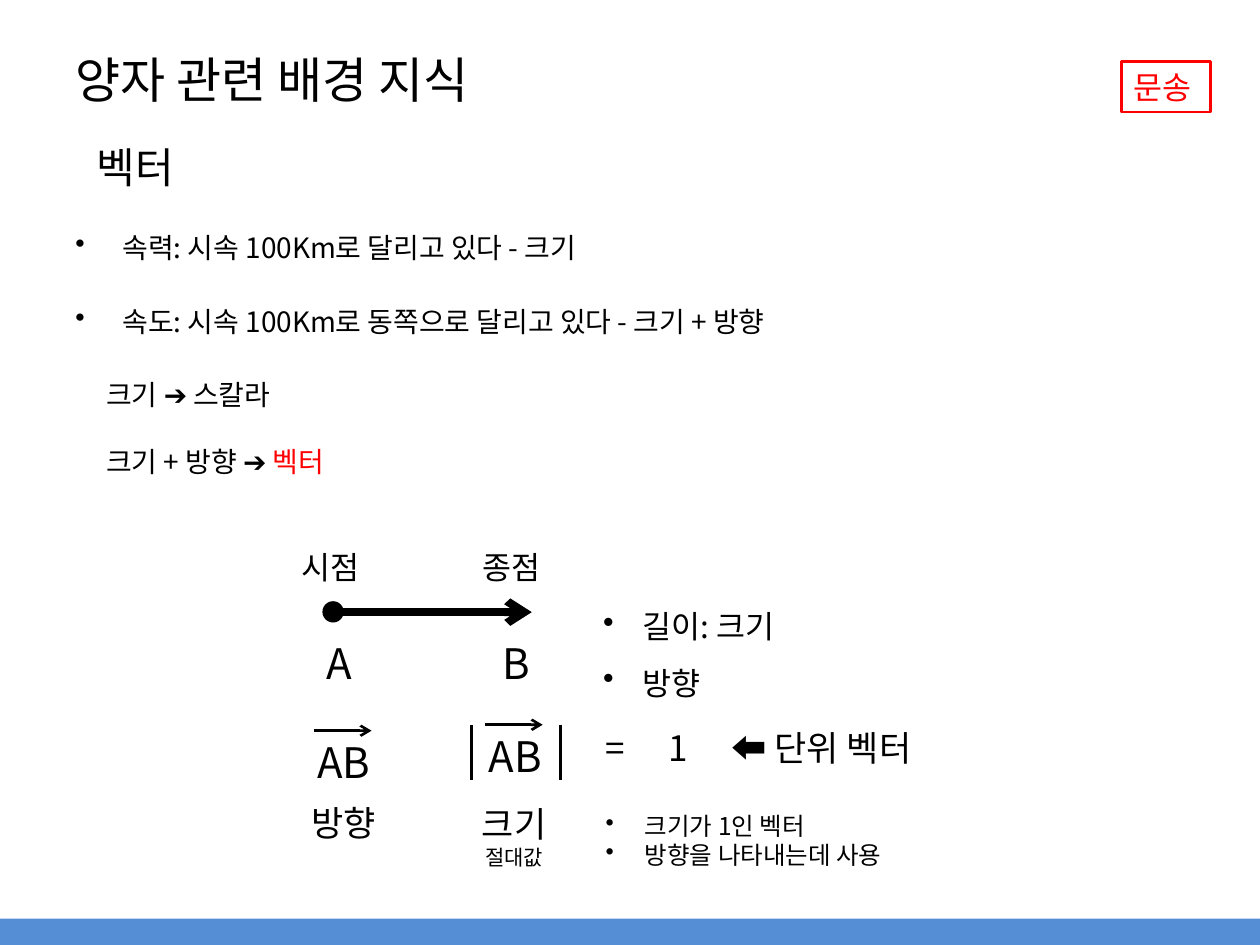
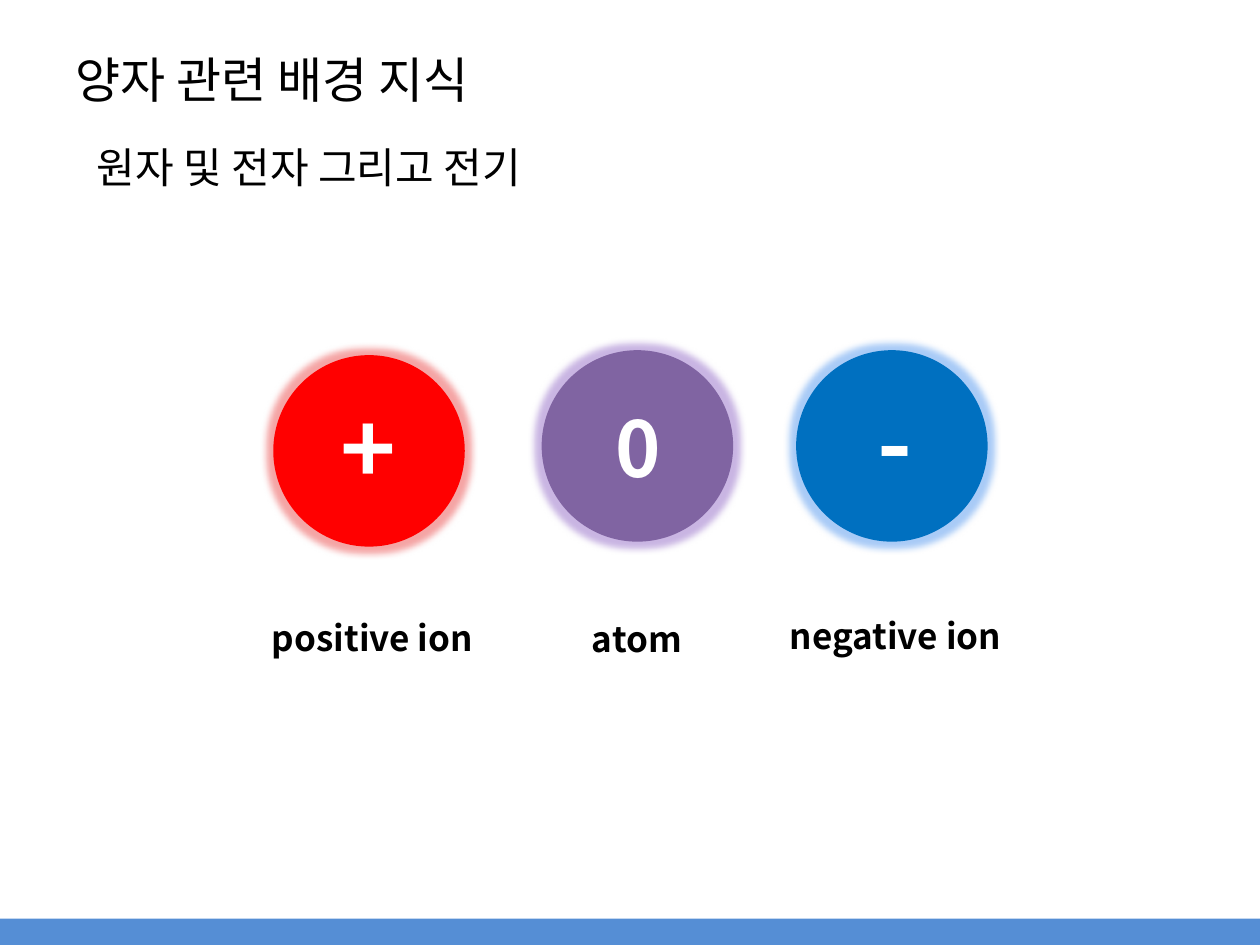
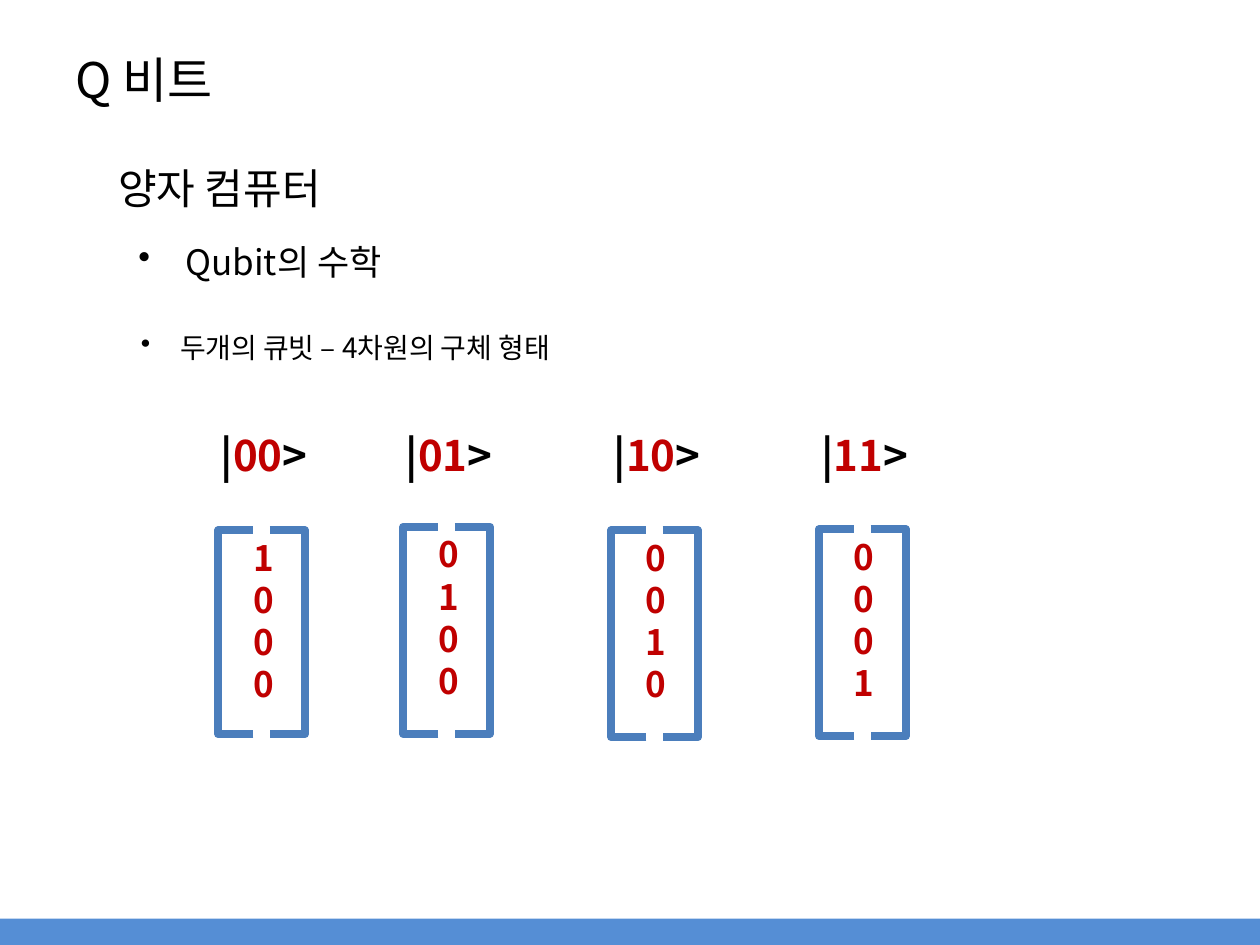
from dataclasses import dataclass

from lxml import etree
from pptx import Presentation
from pptx.dml.color import RGBColor
from pptx.enum.shapes import MSO_CONNECTOR, MSO_SHAPE
from pptx.enum.text import MSO_ANCHOR, PP_ALIGN
from pptx.oxml.ns import qn
from pptx.util import Cm, Pt

LEFT, CENTER = PP_ALIGN.LEFT, PP_ALIGN.CENTER
TOP, MIDDLE = MSO_ANCHOR.TOP, MSO_ANCHOR.MIDDLE
RECTANGLE, OVAL = MSO_SHAPE.RECTANGLE, MSO_SHAPE.OVAL
LEFT_BRACKET = MSO_SHAPE.LEFT_BRACKET
STRAIGHT = MSO_CONNECTOR.STRAIGHT


@dataclass(frozen=True)
class Theme:
    """Colours, font and type sizes shared by all slides."""
    font: str = "Noto Sans CJK KR"
    black: str = "000000"
    white: str = "FFFFFF"
    red: str = "FF0000"
    dark_red: str = "C00000"
    purple: str = "8064A2"
    blue: str = "0070C0"
    band: str = "558ED5"
    bracket: str = "4B7EBC"
    title: int = 28
    subtitle: int = 24
    large: int = 20
    medium: int = 18
    body: int = 16
    small: int = 14
    caption: int = 12
    thin: float = 1.5
    thick: float = 4.5


THEME = Theme()


@dataclass
class Line:
    """One paragraph: runs are plain strings or (text, colour) pairs."""
    runs: list
    size: int
    color: str = THEME.black
    bold: bool = False
    align: int = LEFT
    bullet: float = 0
    margin: float = 0
    tabs: tuple = ()
    before: float = 0
    spacing: float = 1.0


def add_run(paragraph, text, color, line):
    """Add one formatted run with Latin and East Asian fonts."""
    run = paragraph.add_run()
    run.text = text
    run.font.size = Pt(line.size)
    run.font.bold = line.bold
    run.font.color.rgb = RGBColor.from_string(color)
    run.font.name = THEME.font
    etree.SubElement(run._r.get_or_add_rPr(), qn("a:ea"), typeface=THEME.font)


def format_paragraph(paragraph, line):
    """Apply alignment, spacing, indents, bullet and tab stops."""
    paragraph.alignment = line.align
    paragraph.line_spacing = line.spacing
    paragraph.space_before = Pt(line.before)
    properties = paragraph._p.get_or_add_pPr()
    properties.set("marL", str(Cm(line.bullet or line.margin)))
    properties.set("indent", str(-Cm(line.bullet)))
    if line.bullet:
        etree.SubElement(properties, qn("a:buChar"), char="•")
    if line.tabs:
        tab_list = etree.SubElement(properties, qn("a:tabLst"))
        for stop in line.tabs:
            etree.SubElement(tab_list, qn("a:tab"), pos=str(Cm(stop)), algn="l")


def write_lines(shape, lines, anchor=TOP, wrap=True):
    """Fill the text frame of a shape with paragraphs."""
    frame = shape.text_frame
    frame.word_wrap = wrap
    frame.vertical_anchor = anchor
    for number, line in enumerate(lines):
        paragraph = frame.add_paragraph() if number else frame.paragraphs[0]
        format_paragraph(paragraph, line)
        for part in line.runs:
            text, color = (part, line.color) if isinstance(part, str) else part
            add_run(paragraph, text, color, line)


def add_text(slide, box, *lines, anchor=TOP, wrap=True):
    """Add a text box; box is left, top, width, height in centimetres."""
    shape = slide.shapes.add_textbox(*map(Cm, box))
    write_lines(shape, lines, anchor, wrap)


def add_figure(slide, kind, box, fill=None, outline=None, width=THEME.thin):
    """Add a preset shape with an optional fill and outline."""
    shape = slide.shapes.add_shape(kind, *map(Cm, box))
    shape.shadow.inherit = False
    if fill:
        shape.fill.solid()
        shape.fill.fore_color.rgb = RGBColor.from_string(fill)
    else:
        shape.fill.background()
    if outline:
        shape.line.color.rgb = RGBColor.from_string(outline)
        shape.line.width = Pt(width)
    else:
        shape.line.fill.background()
    return shape


def add_line(slide, start, end, width=THEME.thin, arrow=False):
    """Add a straight black line, with an arrowhead at its end if asked."""
    connector = slide.shapes.add_connector(STRAIGHT, *map(Cm, start + end))
    connector.line.color.rgb = RGBColor.from_string(THEME.black)
    connector.line.width = Pt(width)
    if arrow:
        outline = connector.line._get_or_add_ln()
        etree.SubElement(outline, qn("a:tailEnd"), type="arrow")
    etree.SubElement(connector._element.spPr, qn("a:effectLst"))


def add_glow(shape, color):
    """Surround a shape with a translucent glow."""
    effects = shape._element.spPr.find(qn("a:effectLst"))
    glow = etree.SubElement(effects, qn("a:glow"), rad=str(Pt(8)))
    tint = etree.SubElement(glow, qn("a:srgbClr"), val=color)
    etree.SubElement(tint, qn("a:alpha"), val="40000")


def start_slide(presentation, title, subtitle, left=1.7, top=2.72):
    """Add a blank slide with its title, subtitle and bottom band."""
    slide = presentation.slides.add_slide(presentation.slide_layouts[6])
    add_text(slide, (1.27, 0, 22.86, 3.18), Line([title], THEME.title), anchor=MIDDLE)
    add_figure(slide, RECTANGLE, (0, 18.52, 25.4, 0.53), THEME.band)
    add_text(slide, (left, top, 10.4, 1.27), Line([subtitle], THEME.subtitle))
    return slide


def add_arrow_label(slide, left, top):
    """Write AB beneath a short vector arrow."""
    add_text(slide, (left, top, 2.39, 1.27), Line(["AB"], THEME.subtitle, align=CENTER))
    add_line(slide, (left + 0.58, top), (left + 1.75, top), arrow=True)


def add_vector_diagram(slide):
    """Draw the vector from A to B with its direction and magnitude."""
    add_line(slide, (6.71, 12.34), (10.72, 12.34), THEME.thick, arrow=True)
    add_figure(slide, OVAL, (6.5, 12.12, 0.43, 0.43), THEME.black)
    for left, text in ((5.82, "시점"), (9.47, "종점")):
        add_text(slide, (left, 10.92, 1.8, 1.02), Line([text], THEME.medium), wrap=False)
    for left, text in ((6.32, "A"), (9.88, "B")):
        add_text(slide, (left, 12.73, 1.04, 1.27),
                 Line([text], THEME.subtitle, align=CENTER), wrap=False)
    add_arrow_label(slide, 5.74, 14.73)
    add_arrow_label(slide, 9.19, 14.61)
    for bar in (9.5, 11.3):
        add_line(slide, (bar, 14.61), (bar, 15.72))
    add_text(slide, (5.74, 16.03, 2.39, 1.12), Line(["방향"], THEME.large, align=CENTER))
    add_text(slide, (9.17, 16.05, 2.39, 1.63),
             Line(["크기"], THEME.large, align=CENTER),
             Line(["절대값"], THEME.caption, align=CENTER))


def build_vector_slide(presentation):
    """Build the slide on scalars and vectors."""
    slide = start_slide(presentation, "양자 관련 배경 지식", "벡터")
    size = THEME.body
    add_text(slide, (1.27, 4.52, 22.86, 6.2),
             Line(["속력: 시속 100Km로 달리고 있다 - 크기"], size, bullet=0.95),
             Line(["속도: 시속 100Km로 동쪽으로 달리고 있다 - 크기 + 방향"], size,
                  bullet=0.95, before=23),
             Line(["크기 ➔ 스칼라"], size, margin=0.62, before=23),
             Line(["크기 + 방향 ➔ ", ("벡터", THEME.red)], size, margin=0.62, before=19))
    badge = add_figure(slide, RECTANGLE, (22.61, 1.24, 1.8, 1.02), outline=THEME.red)
    write_lines(badge, [Line(["문송"], THEME.medium, THEME.red)], wrap=False)
    add_vector_diagram(slide)
    add_text(slide, (11.91, 11.73, 5.21, 2.41),
             *(Line([text], THEME.medium, bullet=0.79, spacing=1.5)
               for text in ("길이: 크기", "방향")))
    add_text(slide, (11.96, 14.53, 7.32, 3.18),
             Line(["=\t1\t⬅ 단위 벡터"], THEME.large, tabs=(0.7, 1.36)),
             Line(["크기가 1인 벡터"], THEME.small, bullet=0.79, before=24),
             Line(["방향을 나타내는데 사용"], THEME.small, bullet=0.79))


def add_particle(slide, left, top, fill, glow, sign, size, sign_box, name, name_box):
    """Draw a glowing charged circle with its sign and name."""
    circle = add_figure(slide, OVAL, (left, top, 3.86, 3.86), fill)
    add_glow(circle, glow)
    add_text(slide, sign_box, Line([sign], size, THEME.white, True, CENTER), anchor=MIDDLE)
    add_text(slide, name_box, Line([name], THEME.large, bold=True, align=CENTER, spacing=1.3))


def build_atom_slide(presentation):
    """Build the slide comparing ions with a neutral atom."""
    slide = start_slide(presentation, "양자 관련 배경 지식", "원자 및 전자 그리고 전기")
    add_particle(slide, 5.51, 7.16, THEME.red, "E61E1E", "+", 54,
                 (6.22, 7.72, 2.41, 2.57), "positive ion", (4.93, 12.04, 5.16, 1.83))
    add_particle(slide, 10.92, 7.06, THEME.purple, "7846B9", "0", 44,
                 (11.66, 7.95, 2.41, 2.13), "atom", (10.87, 12.07, 3.94, 1.83))
    add_particle(slide, 16.05, 7.06, THEME.blue, "287DEB", "-", 54,
                 (16.84, 7.59, 2.41, 2.57), "negative ion", (15.47, 12.01, 5.16, 1.83))


def add_basis_state(slide, index, left, top, height):
    """Draw a two-qubit ket above its bracketed column vector."""
    add_text(slide, (left, 8.53, 3.89, 1.27),
             Line(["|", (f"{index:02b}", THEME.dark_red), ">"], THEME.subtitle,
                  bold=True, align=CENTER))
    add_text(slide, (left + 0.43, top, 3, 3.68),
             *(Line(["1" if row == index else "0"], THEME.large, THEME.dark_red, True, CENTER)
               for row in range(4)))
    for offset, rotation in ((1.02, 0), (2.06, 180)):
        bracket = add_figure(slide, LEFT_BRACKET, (left + offset, top, 0.71, height),
                             outline=THEME.bracket, width=THEME.thick)
        bracket.adjustments[0] = 0
        bracket.rotation = rotation


def build_qubit_slide(presentation):
    """Build the slide on the four two-qubit basis states."""
    slide = start_slide(presentation, "Q 비트", "양자 컴퓨터", 2.13, 3.15)
    add_text(slide, (2.54, 4.72, 16.79, 1.12),
             Line(["Qubit의 수학"], THEME.large, bullet=0.95))
    add_text(slide, (2.59, 6.53, 12.32, 0.94),
             Line(["두개의 큐빗 – 4차원의 구체 형태"], THEME.body, bullet=0.79))
    places = ((3.38, 10.69, 4.11), (7.11, 10.62, 4.17),
              (11.3, 10.69, 4.17), (15.49, 10.67, 4.17))
    for index, place in enumerate(places):
        add_basis_state(slide, index, *place)


def main():
    """Build and save the presentation."""
    presentation = Presentation()
    presentation.slide_width, presentation.slide_height = Cm(25.4), Cm(19.05)
    build_vector_slide(presentation)
    build_atom_slide(presentation)
    build_qubit_slide(presentation)
    presentation.save("out.pptx")


if __name__ == "__main__":
    main()
